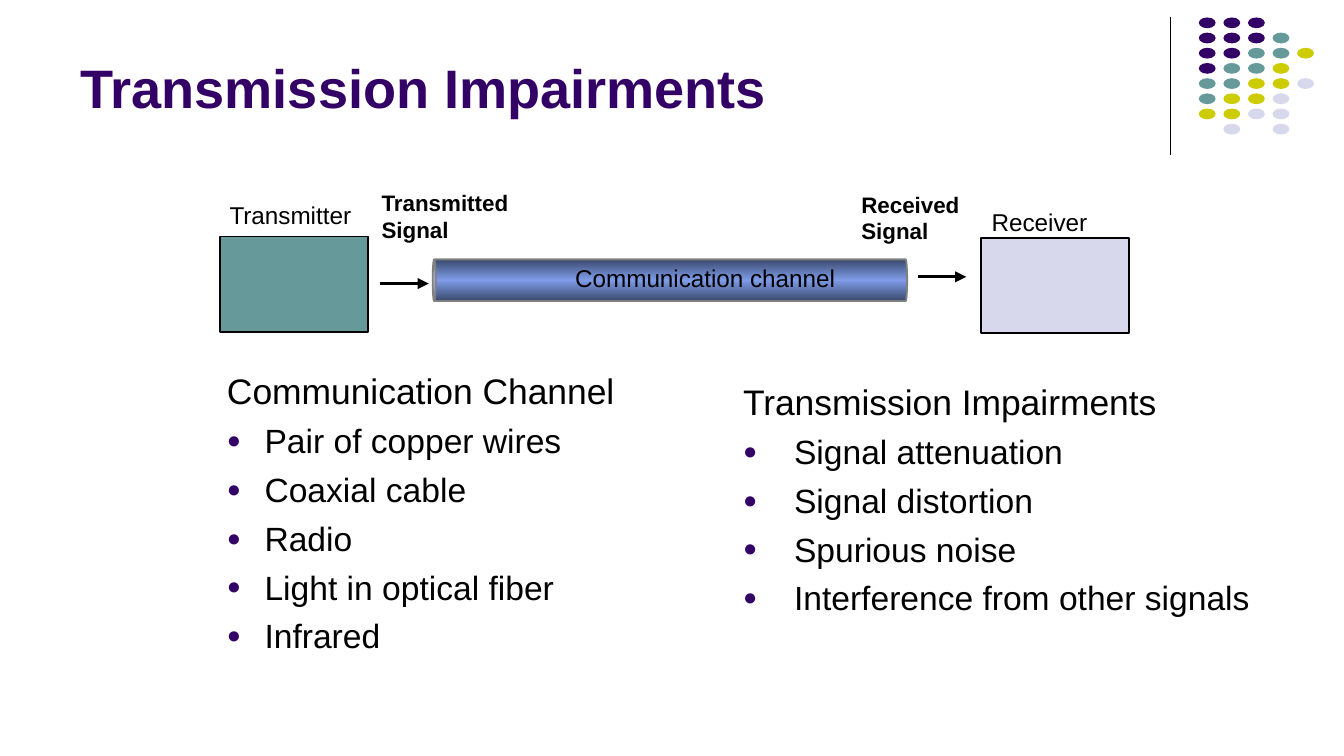
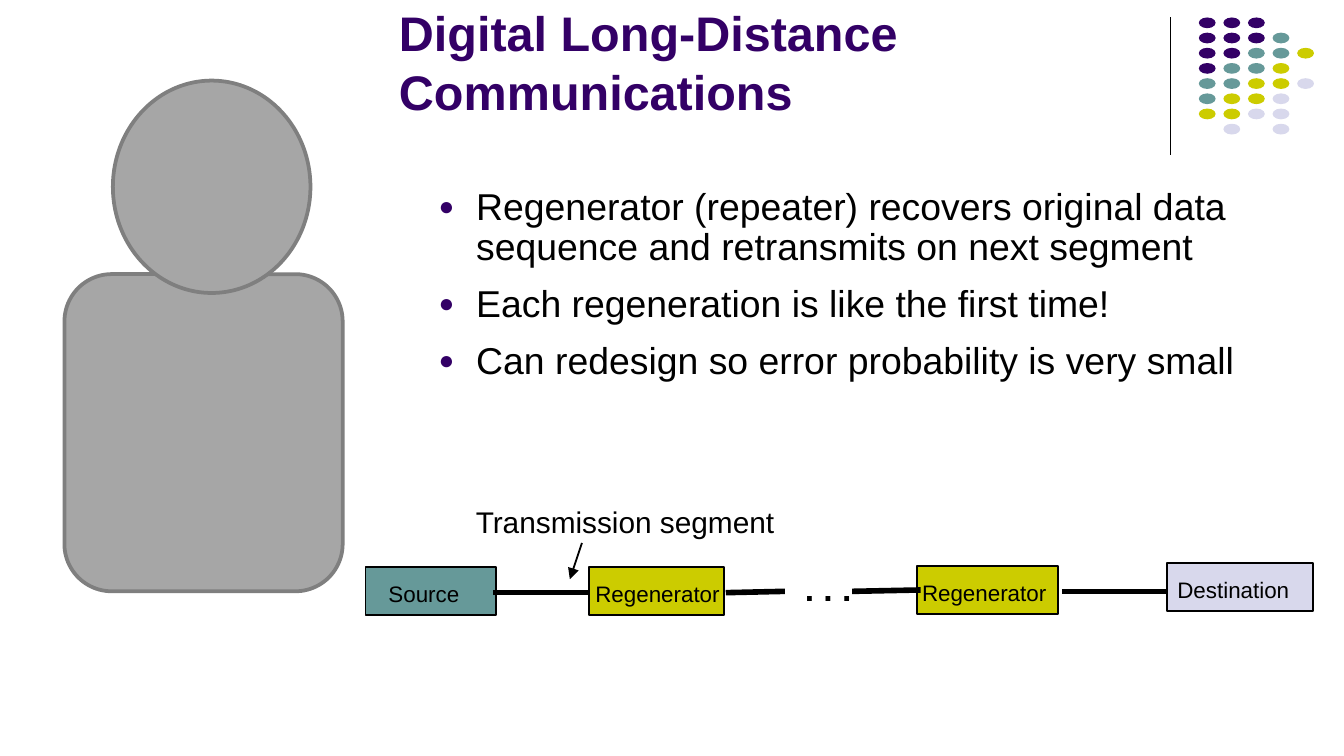
"""Builds two slides on transmission impairments and digital regeneration."""
import pptx
import pptx.util
import pptx.dml.color
import pptx.enum.shapes
import pptx.enum.text
import pptx.oxml
import pptx.oxml.ns
import copy

PURPLE, TEAL, OLIVE, LILAC = "330066", "669999", "CCCC00", "D8D8EC"
BLACK, GREY, GREY_EDGE = "000000", "A6A6A6", "7F7F7F"
COLUMNS, ROWS = 100, 56.25
CELL = pptx.util.Inches(0.1)
FONT = "Arial"
WIDE_INSET, TIGHT_INSET = (1, 0.5), (0.7, 0.4)
DOT_ROWS = ["PPP", "PPPT", "PPTTY", "PTTY", "TTYYL", "TYYL", "YYLL", " L L"]
DOT_COLOURS = {"P": PURPLE, "T": TEAL, "Y": OLIVE, "L": LILAC}
SHAPE = pptx.enum.shapes.MSO_SHAPE


def cells(*counts):
    return [round(count * CELL) for count in counts]


def colour(hex_code):
    return pptx.dml.color.RGBColor.from_string(hex_code)


def add_xml(parent, tag, **attributes):
    child = pptx.oxml.parse_xml(f"<a:{tag} {pptx.oxml.ns.nsdecls('a')}/>")
    for name, value in attributes.items():
        child.set(name, value)
    parent.append(child)
    return child


class Deck:
    def __init__(self):
        self.presentation = pptx.Presentation()
        self.presentation.slide_width, self.presentation.slide_height = cells(COLUMNS, ROWS)
        self.slide = None

    def new_slide(self, title, left, width, size):
        self.slide = self.presentation.slides.add_slide(self.presentation.slide_layouts[6])
        self.line((87.1, 1.3), (87.1, 11.5), 0.75)
        for row, marks in enumerate(DOT_ROWS):
            for column, mark in enumerate(marks):
                if mark in DOT_COLOURS:
                    place = (89.2 + 1.83 * column, 1.3 + 1.13 * row, 1.25, 0.8)
                    self.shape(SHAPE.OVAL, place, DOT_COLOURS[mark])
        self.text((left, 1, width, 8.4), [title], size, PURPLE, bold=True, at_bottom=True)

    def shape(self, kind, place, fill=None, edge=None, weight=1):
        shape = self.slide.shapes.add_shape(kind, *cells(*place))
        shape.shadow.inherit = False
        if fill:
            shape.fill.solid()
            shape.fill.fore_color.rgb = colour(fill)
        if edge:
            shape.line.color.rgb = colour(edge)
            shape.line.width = pptx.util.Pt(weight)
        else:
            shape.line.fill.background()
        return shape

    def channel(self, place, dark, light, edge):
        pipe = self.shape(SHAPE.CAN, place, edge=edge)
        pipe.rotation = 270
        pipe.adjustments[0] = 0.07
        pipe.fill.gradient()
        pipe.fill.gradient_angle = 270
        properties = pipe.element.spPr
        properties.find(pptx.oxml.ns.qn("a:xfrm")).set("flipH", "1")
        gradient = properties.find(pptx.oxml.ns.qn("a:gradFill"))
        gradient.set("rotWithShape", "0")
        stop_list = gradient.find(pptx.oxml.ns.qn("a:gsLst"))
        stop_list.append(copy.deepcopy(stop_list[-1]))
        for stop, position, tint in zip(pipe.fill.gradient_stops, (0, 0.5, 1), (dark, light, dark)):
            stop.position = position
            stop.color.rgb = colour(tint)

    def line(self, start, end, weight, arrow=False):
        line = self.slide.shapes.add_connector(
            pptx.enum.shapes.MSO_CONNECTOR.STRAIGHT, *cells(*start, *end))
        line.line.color.rgb = colour(BLACK)
        line.line.width = pptx.util.Pt(weight)
        properties = line.element.spPr
        if arrow:
            add_xml(properties.find(pptx.oxml.ns.qn("a:ln")), "tailEnd", type="triangle")
        add_xml(properties, "effectLst")

    def text(self, place, paragraphs, size, ink=BLACK, bold=False, before=0,
             inset=WIDE_INSET, wrap=True, grow=False, at_bottom=False):
        frame = self.slide.shapes.add_textbox(*cells(*place)).text_frame
        frame.word_wrap = wrap
        if grow:
            frame.auto_size = pptx.enum.text.MSO_AUTO_SIZE.SHAPE_TO_FIT_TEXT
        if at_bottom:
            frame.vertical_anchor = pptx.enum.text.MSO_ANCHOR.BOTTOM
        frame.margin_left, frame.margin_top = cells(*inset)
        frame.margin_right, frame.margin_bottom = cells(*inset)
        frame.text = "\n".join(paragraphs)
        for paragraph in frame.paragraphs:
            paragraph.space_before = pptx.util.Pt(before)
            for run in paragraph.runs:
                run.font.name = FONT
                run.font.size = pptx.util.Pt(size)
                run.font.bold = bold
                run.font.color.rgb = colour(ink)
        return frame

    def label(self, place, words, size, **style):
        self.text(place, [words], size, grow=True, **style)

    def bullets(self, place, items, size, before, indent, heading=None, spacing=None):
        lines = [heading] + items if heading else items
        paragraphs = self.text(place, lines, size, before=before).paragraphs
        hang = cells(indent)[0]
        for paragraph in paragraphs:
            if spacing:
                paragraph.line_spacing = spacing
            properties = paragraph._p.get_or_add_pPr()
            properties.set("marL", str(hang))
            properties.set("indent", str(-hang))
            if paragraph.text == heading:
                paragraph.space_before = pptx.util.Pt(4.8)
                paragraph.runs[0].font.size = pptx.util.Pt(19)
                add_xml(properties, "buNone")
            else:
                add_xml(add_xml(properties, "buClr"), "srgbClr", val=PURPLE)
                add_xml(properties, "buSzPct", val="70000")
                add_xml(properties, "buFont", typeface=FONT)
                add_xml(properties, "buChar", char="●")


def impairments(deck):
    deck.new_slide("Transmission Impairments", 5, 82.5, 29)
    deck.bullets((15.9, 27, 33.1, 22.6),
                 ["Pair of copper wires", "Coaxial cable", "Radio",
                  "Light in optical fiber", "Infrared"],
                 18, 4.5, 2.8, heading="Communication Channel")
    deck.bullets((54.3, 27.8, 41.2, 24),
                 ["Signal attenuation", "Signal distortion", "Spurious noise",
                  "Interference from other signals"],
                 18, 4.5, 3.8, heading="Transmission Impairments")
    for place, signal in [((27.4, 13.6, 14.9, 5), "Transmitted Signal"),
                          ((63.1, 13.7, 11.8, 5), "Received Signal")]:
        deck.label(place, signal, 12, bold=True, before=7.5)
    for corner, fill, label_place, station in [
            ((73, 17.7), LILAC, (72.8, 14.9, 9.1, 3.2), "Receiver"),
            ((16.4, 17.6), TEAL, (16.1, 14.4, 11.1, 3.2), "Transmitter")]:
        deck.shape(SHAPE.RECTANGLE, (*corner, 11, 7.1), fill, BLACK)
        deck.label(label_place, station, 13, before=8.1, wrap=False)
    deck.channel((48.3, 3.2, 3.1, 35.3), "3A486B", "7E9CE8", "808080")
    deck.label((42.1, 19.2, 20.8, 2.9), "Communication channel", 13,
               inset=TIGHT_INSET, wrap=False)
    for left, level in [(28.3, 21.1), (68.3, 20.6)]:
        deck.line((left, level), (left + 3.6, level), 1.5, arrow=True)


def regeneration(deck):
    deck.new_slide("Digital Long-Distance Communications", 28.7, 58.8, 26)
    deck.bullets((31.65, 13.5, 63, 22.1),
                 ["Regenerator (repeater) recovers original data sequence "
                  "and retransmits on next segment",
                  "Each regeneration is like the first time!",
                  "Can redesign so error probability is very small"],
                 20, 9, 2.8, spacing=0.9)
    stations = [("Source", TEAL, (27.2, 42.2, 9.7), (28.2, 7.2)),
                ("Regenerator", OLIVE, (43.8, 42.2, 10.1), (43.6, 10.8)),
                ("Regenerator", OLIVE, (68.2, 42.1, 10.5), (67.9, 10.8)),
                ("Destination", LILAC, (86.8, 41.9, 10.9), (86.9, 9.8))]
    for station, fill, (left, top, width), (label_left, label_width) in stations:
        deck.shape(SHAPE.RECTANGLE, (left, top, width, 3.6), fill, BLACK)
        deck.label((label_left, top + 0.6, label_width, 2.7), station, 12,
                   inset=TIGHT_INSET, wrap=False)
    for start, end in [((54, 44.1), (58.4, 44)), ((79, 44), (86.8, 44)),
                       ((36.7, 44.1), (43.9, 44.1)), ((63.4, 44), (68.5, 43.9))]:
        deck.line(start, end, 3)
    deck.line((43.3, 40.4), (42.4, 43.1), 1, arrow=True)
    deck.label((34.7, 37.1, 23.8, 3.4), "Transmission segment", 16,
               inset=TIGHT_INSET, wrap=False)
    deck.label((58.9, 41.8, 5.8, 4), ". . .", 18, bold=True, before=11.2, wrap=False)
    body = deck.shape(SHAPE.ROUNDED_RECTANGLE, (4.8, 20.4, 20.7, 23.6), GREY, GREY_EDGE, 2)
    body.adjustments[0] = 0.17
    deck.shape(SHAPE.OVAL, (8.4, 6, 14.7, 15.8), GREY, GREY_EDGE, 2)


def main():
    deck = Deck()
    impairments(deck)
    regeneration(deck)
    deck.presentation.save("out.pptx")


if __name__ == "__main__":
    main()
